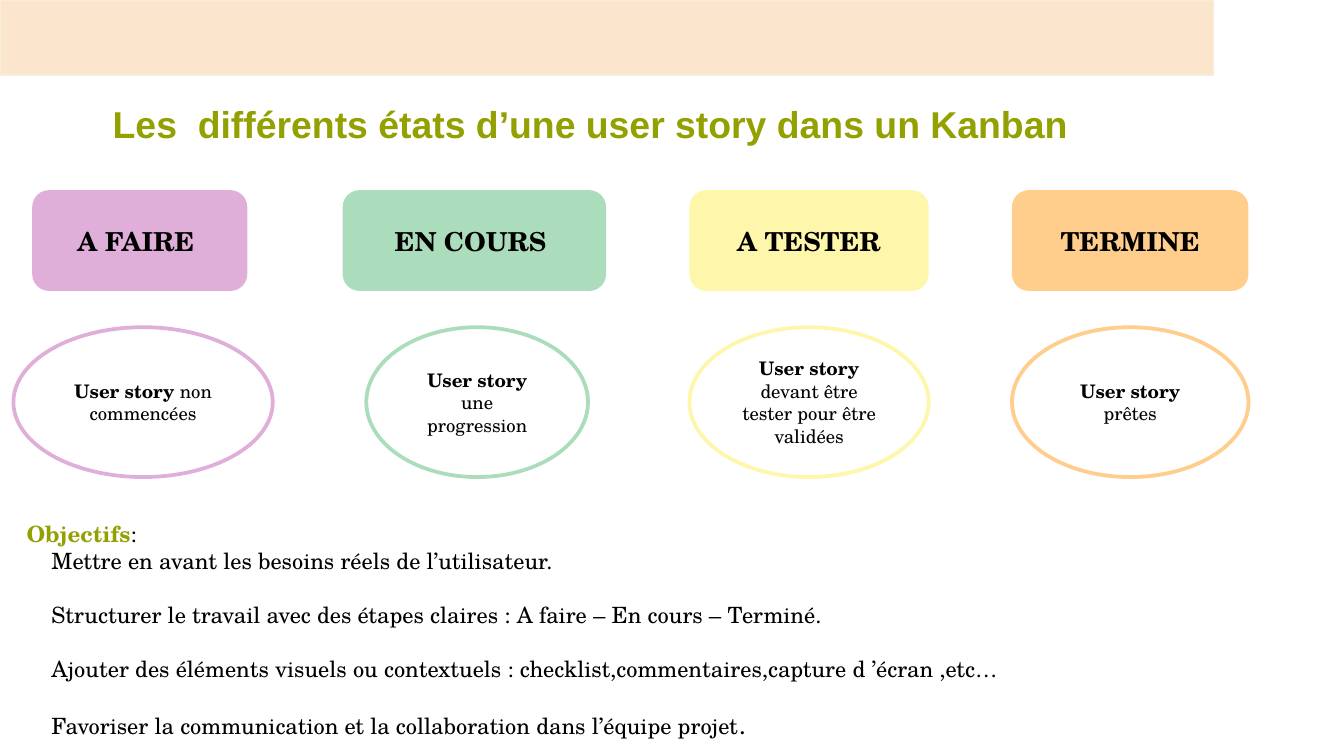
"""Build the slide on the states of a user story in a Kanban."""
from dataclasses import dataclass
from typing import Optional

from pptx import Presentation
from pptx import util as u
from pptx.dml.color import RGBColor
from pptx.enum import shapes, text

SCALE = 4572
SERIF = "TeX Gyre Schola"
OLIVE = "92A000"
BLACK = "000000"
KIND = shapes.MSO_SHAPE


@dataclass
class Run:
    words: str
    bold: bool = False
    hue: str = BLACK
    size: Optional[int] = None


@dataclass
class State:
    name: str
    note: str
    hue: str
    box: tuple[int, int]
    oval: tuple[int, int]


STATES = [
    State("A FAIRE ", "non commencées", "DFAFD9", (48, 320), (20, 386)),
    State("EN COURS ", "une progression", "ABDDBC", (510, 392), (545, 330)),
    State("A TESTER", "devant être tester pour être validées", "FEF6AA", (1026, 356), (1026, 356)),
    State("TERMINE", "prêtes", "FFCD8C", (1506, 352), (1506, 352)),
]
GOALS = [
    [Run("Mettre en avant les besoins réels de l’utilisateur.")],
    [Run("Structurer le travail avec des étapes claires : A faire – En cours – Terminé.")],
    [Run("Ajouter des éléments visuels ou contextuels : checklist,commentaires,capture d ’écran ,etc…")],
    [Run("Favoriser la communication et la collaboration dans l’équipe projet"), Run(".", size=14)],
]


def px(num: int) -> u.Emu:
    return u.Emu(num * SCALE)


def tint(code: str) -> RGBColor:
    return RGBColor.from_string(code)


def write(para, runs: list[Run], size: int, face: str = SERIF) -> None:
    para.font.size = u.Pt(size)
    para.font.name = face
    for item in runs:
        run = para.add_run()
        run.text = item.words
        run.font.bold = item.bold
        run.font.color.rgb = tint(item.hue)
        if item.size:
            run.font.size = u.Pt(item.size)


def draw(slide, kind, area: tuple[int, int, int, int], fill: str,
         line: Optional[str] = None, width: float = 2):
    shape = slide.shapes.add_shape(kind, *map(px, area))
    shape.shadow.inherit = False
    shape.fill.solid()
    shape.fill.fore_color.rgb = tint(fill)
    if line:
        shape.line.color.rgb = tint(line)
        shape.line.width = u.Pt(width)
    else:
        shape.line.fill.background()
    return shape


def label(shape, runs: list[Run], size: int) -> None:
    frame = shape.text_frame
    frame.word_wrap = True
    frame.vertical_anchor = text.MSO_ANCHOR.MIDDLE
    para = frame.paragraphs[0]
    para.alignment = text.PP_ALIGN.CENTER
    write(para, runs, size)


def add_box(slide, area: tuple[int, int, int, int]):
    frame = slide.shapes.add_textbox(*map(px, area)).text_frame
    frame.word_wrap = True
    frame.auto_size = text.MSO_AUTO_SIZE.SHAPE_TO_FIT_TEXT
    return frame


def add_state(slide, state: State) -> None:
    left, width = state.box
    box = draw(slide, KIND.ROUNDED_RECTANGLE, (left, 283, width, 150), state.hue)
    label(box, [Run(state.name, True)], 14)
    left, width = state.oval
    oval = draw(slide, KIND.OVAL, (left, 487, width, 223), "FFFFFF", state.hue)
    label(oval, [Run("User story ", True), Run(state.note)], 10)


def add_goals(slide) -> None:
    frame = add_box(slide, (20, 764, 1952, 350))
    write(frame.paragraphs[0], [Run("Objectifs", True, OLIVE), Run(":")], 12)
    for num, goal in enumerate(GOALS):
        para = frame.add_paragraph()
        para._p.get_or_add_pPr().set("marL", str(px(37)))
        para.space_before = u.Pt(14.5 if num else 0)
        write(para, goal, 12)


def main() -> None:
    deck = Presentation()
    deck.slide_width, deck.slide_height = px(2000), px(1125)
    slide = deck.slides.add_slide(deck.slide_layouts[6])
    draw(slide, KIND.RECTANGLE, (0, 0, 1806, 112), "FCE5CD", "F7EDDE", 0.75)
    title = add_box(slide, (148, 141, 1756, 88)).paragraphs[0]
    write(title, [Run("Les  différents états d’une user story dans un Kanban", True, OLIVE)], 20, "Arial")
    for state in STATES:
        add_state(slide, state)
    add_goals(slide)
    deck.save("out.pptx")


if __name__ == "__main__":
    main()
